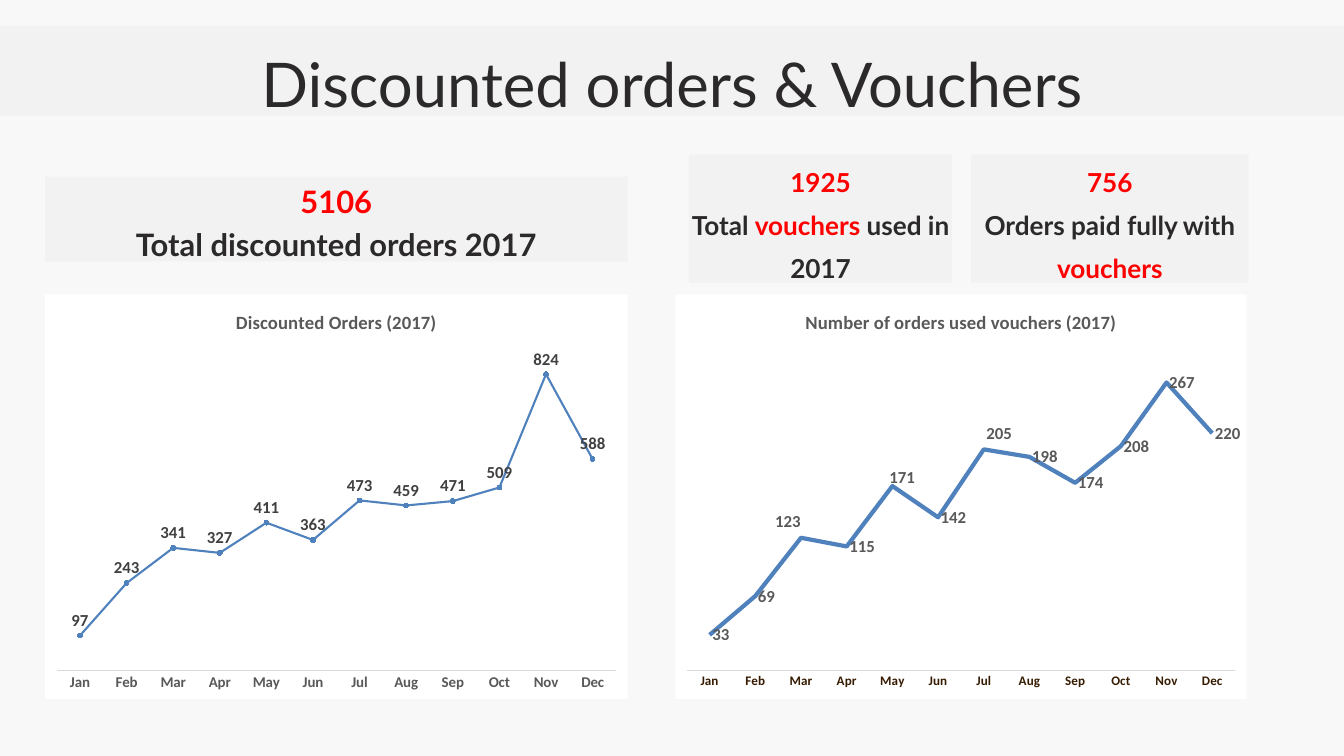
from dataclasses import dataclass, field

from lxml import etree
from pptx import Presentation
from pptx.chart.data import CategoryChartData
from pptx.dml.color import RGBColor
from pptx.enum.chart import XL_CHART_TYPE, XL_LABEL_POSITION, XL_MARKER_STYLE, XL_TICK_MARK
from pptx.enum.shapes import MSO_SHAPE
from pptx.enum.text import MSO_ANCHOR, MSO_AUTO_SIZE, PP_ALIGN
from pptx.oxml import parse_xml
from pptx.oxml.ns import qn
from pptx.util import Inches, Pt

RECTANGLE = MSO_SHAPE.RECTANGLE
LINE, LINE_MARKERS = XL_CHART_TYPE.LINE, XL_CHART_TYPE.LINE_MARKERS
ABOVE, RIGHT = XL_LABEL_POSITION.ABOVE, XL_LABEL_POSITION.RIGHT
CIRCLE, NO_MARKER = XL_MARKER_STYLE.CIRCLE, XL_MARKER_STYLE.NONE
NO_TICK = XL_TICK_MARK.NONE
TOP, CENTER, NO_FIT = MSO_ANCHOR.TOP, PP_ALIGN.CENTER, MSO_AUTO_SIZE.NONE
CHART_NS = "http://schemas.openxmlformats.org/drawingml/2006/chart"
MONTHS = ["Jan", "Feb", "Mar", "Apr", "May", "Jun",
          "Jul", "Aug", "Sep", "Oct", "Nov", "Dec"]


@dataclass(frozen=True)
class Theme:
    background: str = "F8F8F8"
    panel: str = "F2F2F2"
    white: str = "FFFFFF"
    text: str = "2B2929"
    accent: str = "FF0000"
    line: str = "4F81BD"
    axis: str = "D9D9D9"
    muted: str = "595959"
    font: str = "Lato"
    chart_font: str = "Calibri"
    title_size: float = 66
    title_spacing: float = 100.8
    card_spacing: float = 46.3
    chart_title_size: float = 20
    label_size: float = 18


THEME = Theme()


@dataclass(frozen=True)
class Box:
    left: float
    top: float
    width: float
    height: float

    def lengths(self) -> tuple:
        return tuple(Inches(v) for v in (self.left, self.top, self.width, self.height))


@dataclass(frozen=True)
class Card:
    """A key figure; every second caption part is accented."""
    box: Box
    figure: str
    caption: tuple[str, ...]
    size: float


@dataclass(frozen=True)
class LineChart:
    box: Box
    title: str
    values: tuple[int, ...]
    maximum: int
    plot: Box  # fractions of the chart
    kind: int
    width: float
    label_position: int
    label_color: str
    axis_color: str
    axis_size: float
    label_offsets: dict[int, tuple[float, float]] = field(default_factory=dict)


CARDS = [
    Card(Box(0.67, 2.63, 8.67, 1.26), "5106", ("Total discounted orders 2017",), 33.1),
    Card(Box(10.25, 2.3, 3.92, 1.91), "1925", ("Total ", "vouchers", " used in 2017"), 28),
    Card(Box(14.45, 2.3, 4.13, 1.91), "756", ("Orders paid fully with ", "vouchers"), 28),
]
CHARTS = [
    LineChart(Box(10.05, 4.38, 8.5, 6.02), "Number of orders used vouchers (2017)",
              (33, 69, 123, 115, 171, 142, 205, 198, 174, 208, 267, 220), 300,
              Box(0.02, 0.13, 0.96, 0.8), LINE, 4.5, RIGHT, THEME.muted, "361B00", 14,
              {2: (-0.05, -0.04), 4: (-0.01, -0.02), 6: (0, -0.04)}),
    LineChart(Box(0.67, 4.38, 8.67, 6.02), "Discounted Orders (2017)",
              (97, 243, 341, 327, 411, 363, 473, 459, 471, 509, 824, 588), 900,
              Box(0.02, 0.13, 0.96, 0.8), LINE_MARKERS, 2.25, ABOVE, "404040",
              THEME.muted, 16),
]


def rgb(color: str) -> RGBColor:
    return RGBColor.from_string(color)


def set_font(font, name: str, size: float, color: str, bold: bool = True) -> None:
    font.name, font.size, font.bold = name, Pt(size), bold
    font.color.rgb = rgb(color)


def format_panel(sp) -> None:
    sp.fill.solid()
    sp.fill.fore_color.rgb = rgb(THEME.panel)
    sp.line.fill.background()
    tf = sp.text_frame
    tf.margin_left = tf.margin_top = tf.margin_right = tf.margin_bottom = 0
    tf.vertical_anchor, tf.word_wrap, tf.auto_size = TOP, True, NO_FIT


def add_title(s, text: str) -> None:
    sp = s.shapes.title
    sp.left, sp.top, sp.width, sp.height = Box(0, 0.38, 20, 1.34).lengths()
    format_panel(sp)
    sp.text_frame.text = text
    p = sp.text_frame.paragraphs[0]
    p.alignment, p.line_spacing = CENTER, Pt(THEME.title_spacing)
    set_font(p.runs[0].font, THEME.font, THEME.title_size, THEME.text, False)


def add_card(s, card: Card) -> None:
    sp = s.shapes.add_shape(RECTANGLE, *card.box.lengths())
    sp.shadow.inherit = False
    format_panel(sp)
    tf = sp.text_frame
    colors = (THEME.text, THEME.accent)
    lines = [[(card.figure, THEME.accent)],
             [(part, colors[i % 2]) for i, part in enumerate(card.caption)]]
    for p, parts in zip((tf.paragraphs[0], tf.add_paragraph()), lines):
        p.alignment, p.line_spacing = CENTER, Pt(THEME.card_spacing)
        for text, color in parts:
            r = p.add_run()
            r.text = text
            set_font(r.font, THEME.font, card.size, color)


def layout_xml(fractions: dict[str, float], inner: bool = False):
    """Build a manual chart layout; inner measures the plot without its labels."""
    layout = parse_xml(f'<c:layout xmlns:c="{CHART_NS}"><c:manualLayout/></c:layout>')
    settings = {"layoutTarget": "inner", "xMode": "edge", "yMode": "edge"} if inner else {}
    for tag, value in {**settings, **fractions}.items():
        etree.SubElement(layout[0], qn(f"c:{tag}")).set("val", str(value))
    return layout


def fill_chart(chart) -> None:
    """Give the chart area a white fill and no border."""
    sp_pr = parse_xml(
        f'<c:spPr xmlns:c="{CHART_NS}" xmlns:a="http://schemas.openxmlformats.org/drawingml/2006/main">'
        f'<a:solidFill><a:srgbClr val="{THEME.white}"/></a:solidFill>'
        '<a:ln><a:noFill/></a:ln></c:spPr>')
    chart.element.find(qn("c:chart")).addnext(sp_pr)


def add_line_chart(s, item: LineChart) -> None:
    data = CategoryChartData()
    data.categories = MONTHS
    data.add_series("Series 1", item.values)
    chart = s.shapes.add_chart(item.kind, *item.box.lengths(), data).chart
    set_font(chart.font, THEME.chart_font, 10, "000000", False)
    fill_chart(chart)
    chart.has_legend = False
    tf = chart.chart_title.text_frame
    tf.text = item.title
    set_font(tf.paragraphs[0].runs[0].font, THEME.chart_font,
             THEME.chart_title_size, THEME.muted)
    chart.chart_title.include_in_layout = False

    value_axis, axis = chart.value_axis, chart.category_axis
    value_axis.minimum_scale, value_axis.maximum_scale = 0, item.maximum
    value_axis.has_major_gridlines = value_axis.visible = False
    axis.major_tick_mark = axis.minor_tick_mark = NO_TICK
    axis.format.line.color.rgb = rgb(THEME.axis)
    axis.format.line.width = Pt(0.75)
    set_font(axis.tick_labels.font, THEME.chart_font, item.axis_size, item.axis_color)

    area = chart.element.find(".//" + qn("c:plotArea"))
    for old in area.findall(qn("c:layout")):
        area.remove(old)
    box = item.plot
    area.insert(0, layout_xml({"x": box.left, "y": box.top, "w": box.width,
                               "h": box.height}, inner=True))

    plot = chart.plots[0]
    plot.vary_by_categories = False
    series = plot.series[0]
    series.smooth = False
    series.format.line.color.rgb = rgb(THEME.line)
    series.format.line.width = Pt(item.width)
    series.marker.style = CIRCLE if item.kind == LINE_MARKERS else NO_MARKER
    if item.kind == LINE_MARKERS:
        series.marker.size = 5
        series.marker.format.fill.solid()
        series.marker.format.fill.fore_color.rgb = rgb(THEME.line)
        series.marker.format.line.color.rgb = rgb(THEME.line)
    labels = series.data_labels
    labels.show_value, labels.position = True, item.label_position
    set_font(labels.font, THEME.chart_font, THEME.label_size, item.label_color)
    for index, (x, y) in item.label_offsets.items():
        label = series.points[index].data_label
        set_font(label.font, THEME.chart_font, THEME.label_size, item.label_color)
        label.position = item.label_position
    for node in chart.element.iter(qn("c:dLbl")):
        idx = node.find(qn("c:idx"))
        x, y = item.label_offsets[int(idx.get("val"))]
        idx.addnext(layout_xml({"x": x, "y": y}))


def main() -> None:
    prs = Presentation()
    prs.slide_width, prs.slide_height = Inches(20), Inches(11.25)
    s = prs.slides.add_slide(prs.slide_layouts[5])
    s.background.fill.solid()
    s.background.fill.fore_color.rgb = rgb(THEME.background)
    add_title(s, "Discounted orders & Vouchers")
    for card in CARDS:
        add_card(s, card)
    for item in CHARTS:
        add_line_chart(s, item)
    prs.save("out.pptx")


if __name__ == "__main__":
    main()
